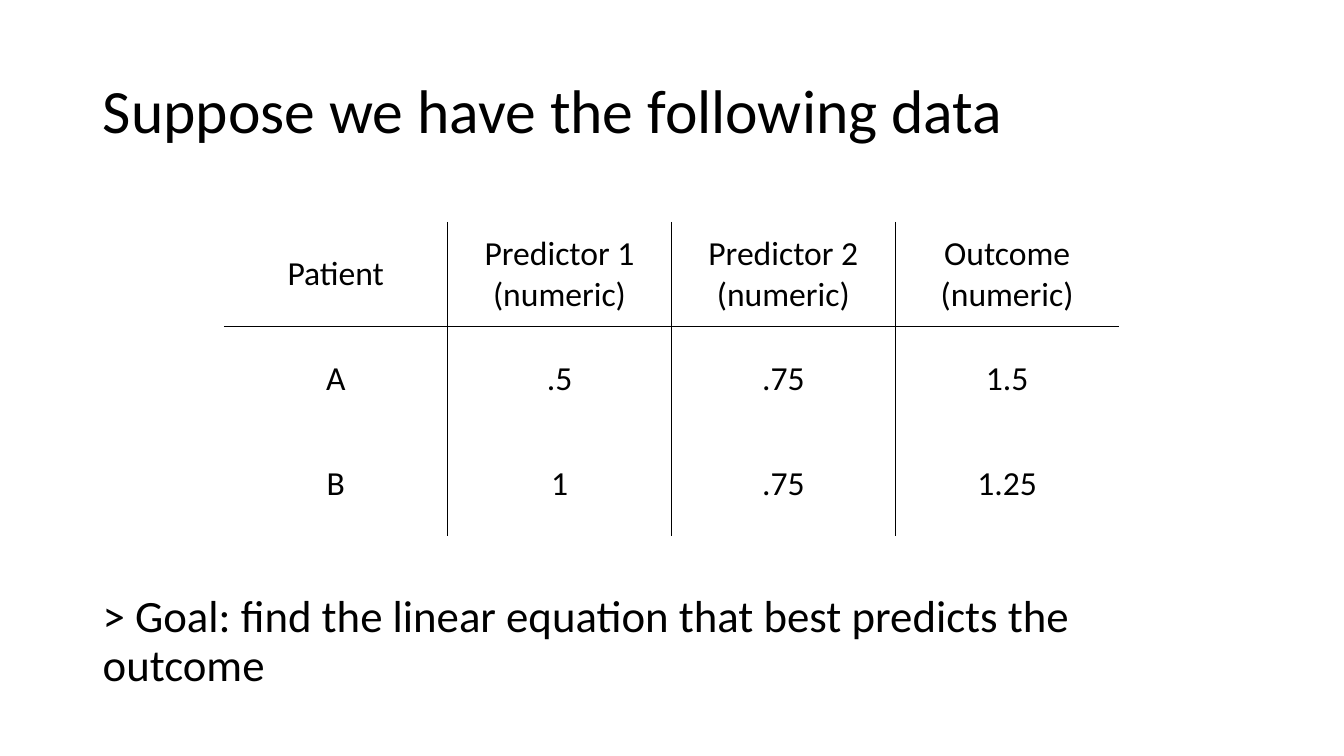
from lxml.etree import SubElement
from pptx import Presentation
from pptx.dml.color import RGBColor
from pptx.enum.text import MSO_ANCHOR, PP_ALIGN
from pptx.oxml.ns import qn
from pptx.util import Inches, Pt

TITLE = "Suppose we have the following data"
GOAL = "> Goal: find the linear equation that best predicts the outcome"
PATIENT_ROWS = [
    ["Patient", "Predictor 1\n(numeric)", "Predictor 2\n(numeric)", "Outcome\n(numeric)"],
    ["A", ".5", ".75", "1.5"],
    ["B", "1", ".75", "1.25"],
]
FONT = "Calibri"
BLACK = "000000"
PLAIN_TABLE_STYLE = "{2D5ABB26-0587-4C30-8999-92F81FD0307C}"
TEXT_LEFT, TEXT_WIDTH, TEXT_HEIGHT = 0.92, 11.5, 1.45
TITLE_TOP, GOAL_TOP = 0.4, 5.65
TABLE_LEFT, TABLE_TOP = 2.22, 2.2
COLUMN_WIDTH, ROW_HEIGHT = 2.22, 1.04


def color(value):
    """Turn a hex string into a colour."""
    return RGBColor.from_string(value)


def write(frame, text, size, align=PP_ALIGN.LEFT, spacing=1.0):
    """Fill a text frame, one paragraph per line of text."""
    frame.word_wrap = True
    frame.text = text
    for para in frame.paragraphs:
        para.alignment = align
        para.line_spacing = spacing
        for span in para.runs:
            span.font.name = FONT
            span.font.size = Pt(size)
            span.font.color.rgb = color(BLACK)


def place_text(box, top, text, size):
    """Place a full-width text box and write its middle-anchored text."""
    box.left, box.top = Inches(TEXT_LEFT), Inches(top)
    box.width, box.height = Inches(TEXT_WIDTH), Inches(TEXT_HEIGHT)
    box.text_frame.vertical_anchor = MSO_ANCHOR.MIDDLE
    write(box.text_frame, text, size, spacing=0.9)


def rule_cell(cell, visible):
    """Draw the named sides of a cell in black and hide the others."""
    properties = cell._tc.get_or_add_tcPr()
    for side in "LRTB":
        line = SubElement(properties, qn(f"a:ln{side}"), w=str(Pt(1)))
        if side in visible:
            fill = SubElement(line, qn("a:solidFill"))
            SubElement(fill, qn("a:srgbClr"), val=BLACK)
        else:
            SubElement(line, qn("a:noFill"))


def add_patient_table(page):
    """Add the data table with rules between columns and below the header."""
    row_count, column_count = len(PATIENT_ROWS), len(PATIENT_ROWS[0])
    frame = page.shapes.add_table(
        row_count, column_count, Inches(TABLE_LEFT), Inches(TABLE_TOP),
        Inches(COLUMN_WIDTH * column_count), Inches(ROW_HEIGHT * row_count))
    table = frame.table
    table.first_row = table.horz_banding = False
    table._tbl.tblPr.find(qn("a:tableStyleId")).text = PLAIN_TABLE_STYLE
    for row_index, values in enumerate(PATIENT_ROWS):
        for column_index, value in enumerate(values):
            cell = table.cell(row_index, column_index)
            write(cell.text_frame, value, 24, align=PP_ALIGN.CENTER)
            cell.vertical_anchor = MSO_ANCHOR.MIDDLE
            sides = "L" if column_index > 0 else ""
            sides += "R" if column_index < column_count - 1 else ""
            sides += {0: "B", 1: "T"}.get(row_index, "")
            rule_cell(cell, sides)
            cell.fill.background()


deck = Presentation()
deck.slide_width, deck.slide_height = Inches(13.33), Inches(7.5)
page = deck.slides.add_slide(deck.slide_layouts[5])
page.background.fill.solid()
page.background.fill.fore_color.rgb = color("FFFFFF")
place_text(page.shapes.title, TITLE_TOP, TITLE, 44)
add_patient_table(page)
place_text(page.shapes.add_textbox(0, 0, 0, 0), GOAL_TOP, GOAL, 32)
deck.save("out.pptx")
